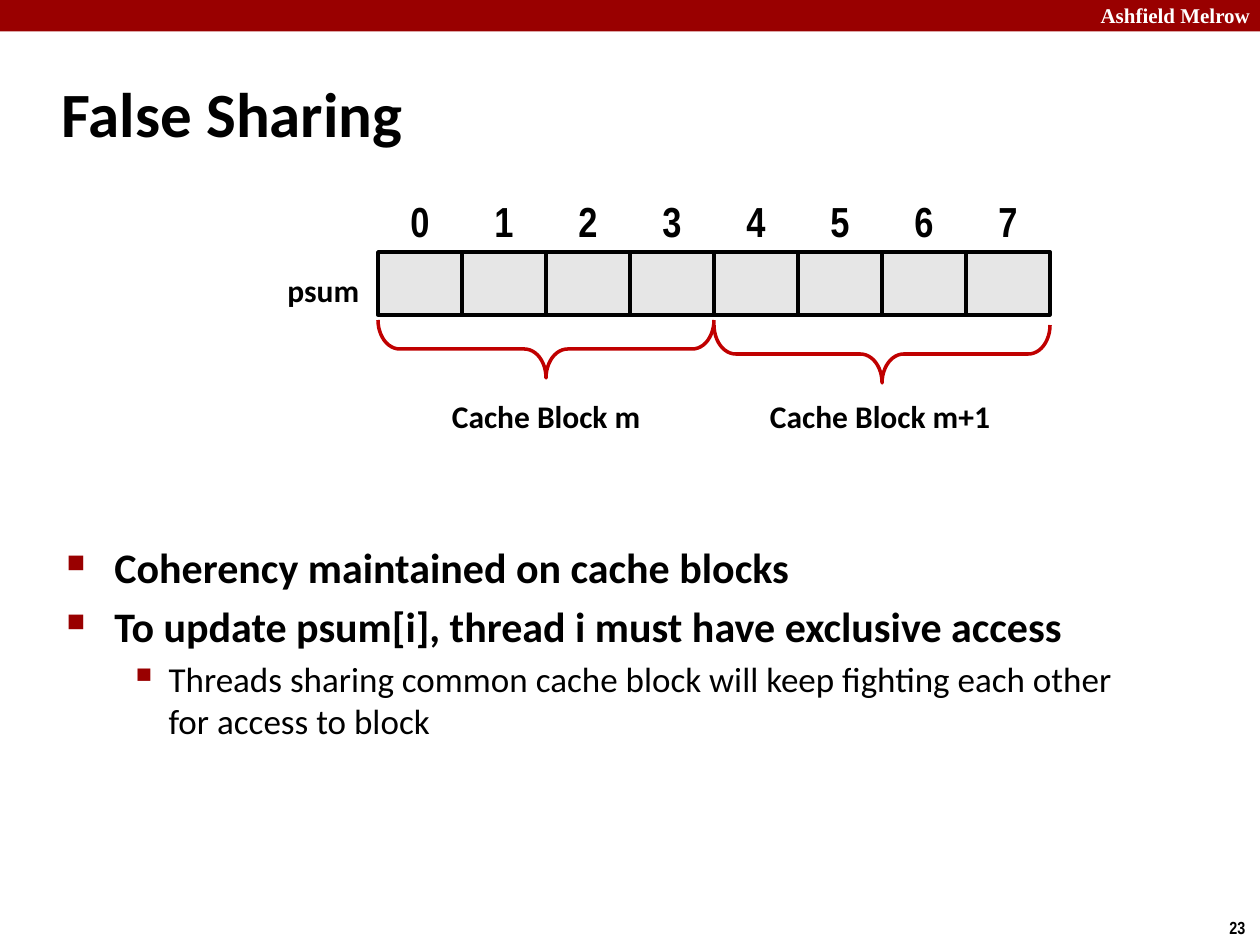
"""Build a slide on false sharing between cache blocks."""
from dataclasses import dataclass

from lxml.etree import SubElement
from pptx import Presentation
from pptx.dml.color import RGBColor
from pptx.enum.shapes import MSO_SHAPE
from pptx.enum.text import MSO_ANCHOR, MSO_AUTO_SIZE, PP_ALIGN
from pptx.oxml.ns import qn
from pptx.util import Inches, Pt

COLORS = {"band": "990000", "brace": "C00000", "cell": "E6E6E6",
          "ink": "000000", "page": "FFFFFF"}
CELLS, LEFT, TOP, HIGH = 8, 3, 2, 0.5
WIDE = 2 / 3
SPAN = 4 * WIDE
DEPTH = 0.46


@dataclass
class Label:
    text: str
    left: float
    top: float
    width: float
    height: float
    size: int = 18
    font: str = "Calibri"
    color: str = "ink"
    align: PP_ALIGN = PP_ALIGN.CENTER
    anchor: MSO_ANCHOR = MSO_ANCHOR.TOP
    wrap: bool = False


@dataclass
class Brace:
    left: float
    top: float


@dataclass
class Bullet:
    text: str
    size: int
    bold: bool
    level: int
    margin: float
    indent: float
    mark: str
    scale: int


def tint(name: str) -> RGBColor:
    return RGBColor.from_string(COLORS[name])


def style(para, size: int, font: str, color: str = "ink", bold: bool = True) -> None:
    for run in para.runs:
        run.font.size, run.font.name, run.font.bold = Pt(size), font, bold
        run.font.color.rgb = tint(color)


def add_label(slide, label: Label) -> None:
    box = slide.shapes.add_textbox(Inches(label.left), Inches(label.top),
                                   Inches(label.width), Inches(label.height))
    frame = box.text_frame
    frame.word_wrap = label.wrap
    frame.vertical_anchor = label.anchor
    frame.text = label.text
    para = frame.paragraphs[0]
    para.alignment = label.align
    style(para, label.size, label.font, label.color)


def add_box(slide, left: float, top: float, width: float, height: float,
            fill: str, line: bool):
    box = slide.shapes.add_shape(MSO_SHAPE.RECTANGLE, Inches(left), Inches(top),
                                 Inches(width), Inches(height))
    box.shadow.inherit = False
    box.fill.solid()
    box.fill.fore_color.rgb = tint(fill)
    if line:
        box.line.color.rgb = tint("ink")
        box.line.width = Pt(2)
    else:
        box.line.fill.background()


def add_brace(slide, brace: Brace) -> None:
    left = brace.left + (SPAN - DEPTH) / 2
    top = brace.top - (SPAN - DEPTH) / 2
    shape = slide.shapes.add_shape(MSO_SHAPE.RIGHT_BRACE, Inches(left), Inches(top),
                                   Inches(DEPTH), Inches(SPAN))
    shape.rotation = 90
    shape.adjustments[0] = 0.374
    shape.shadow.inherit = False
    shape.fill.background()
    shape.line.color.rgb = tint("brace")
    shape.line.width = Pt(2)


def add_bullet(para, item: Bullet) -> None:
    para.text = item.text
    para.level = item.level
    para.space_before = Pt(item.size * 0.2)
    style(para, item.size, "Calibri", bold=item.bold)
    props = para._p.get_or_add_pPr()
    props.set("marL", str(Inches(item.margin)))
    props.set("indent", str(Inches(item.indent)))
    color = SubElement(props, qn("a:buClr"))
    SubElement(color, qn("a:srgbClr"), val=COLORS["band"])
    SubElement(props, qn("a:buSzPct"), val=str(item.scale * 1000))
    SubElement(props, qn("a:buChar"), char=item.mark)


def add_title(slide, text: str) -> None:
    title = slide.shapes.title
    title.left, title.top = Inches(0.39), Inches(0.48)
    title.width, title.height = Inches(8.3), Inches(0.83)
    frame = title.text_frame
    frame.text = text
    frame.auto_size = MSO_AUTO_SIZE.NONE
    frame.vertical_anchor = MSO_ANCHOR.MIDDLE
    frame.paragraphs[0].alignment = PP_ALIGN.LEFT
    style(frame.paragraphs[0], 36, "Calibri")


def add_body(slide, items: list[Bullet]) -> None:
    body = slide.shapes.add_textbox(Inches(0.43), Inches(4.25),
                                    Inches(8.64), Inches(2.68))
    frame = body.text_frame
    frame.word_wrap = True
    for i, item in enumerate(items):
        add_bullet(frame.add_paragraph() if i else frame.paragraphs[0], item)


def main() -> None:
    deck = Presentation()
    deck.slide_width, deck.slide_height = Inches(10), Inches(7.5)
    slide = deck.slides.add_slide(deck.slide_layouts[5])
    add_box(slide, 0, 0, 10, 0.25, "band", False)
    add_title(slide, "False Sharing")
    add_body(slide, [
        Bullet("Coherency maintained on cache blocks",
               24, True, 0, 0.38, -0.38, "■", 60),
        Bullet("To update psum[i], thread i must have exclusive access",
               24, True, 0, 0.38, -0.38, "■", 60),
        Bullet("Threads sharing common cache block will keep fighting each other "
               "for access to block", 20, False, 1, 0.81, -0.31, "▪", 110),
    ])
    for i in range(CELLS):
        left = LEFT + i * WIDE
        add_box(slide, left, TOP, WIDE, HIGH, "cell", True)
        add_label(slide, Label(str(i), left, TOP - HIGH, WIDE, HIGH, 24,
                               "Arial Narrow", anchor=MSO_ANCHOR.MIDDLE))
    for brace in (Brace(LEFT, 2.54), Brace(LEFT + SPAN, 2.58)):
        add_brace(slide, brace)
    for label in (
        Label("Cache Block m", 3.48, 3.1, 1.71, 0.4),
        Label("Cache Block m+1", 6, 3.1, 1.97, 0.4),
        Label("psum", 2.17, 2.1, 0.78, 0.4, align=PP_ALIGN.RIGHT),
        Label("Ashfield Melrow", 8.54, -0.03, 1.48, 0.3, 12, "Times New Roman",
              "page", PP_ALIGN.RIGHT),
        Label("23", 9.66, 7.23, 0.34, 0.27, 10, "Arial Narrow",
              align=PP_ALIGN.LEFT),
    ):
        add_label(slide, label)
    deck.save("out.pptx")


main()
